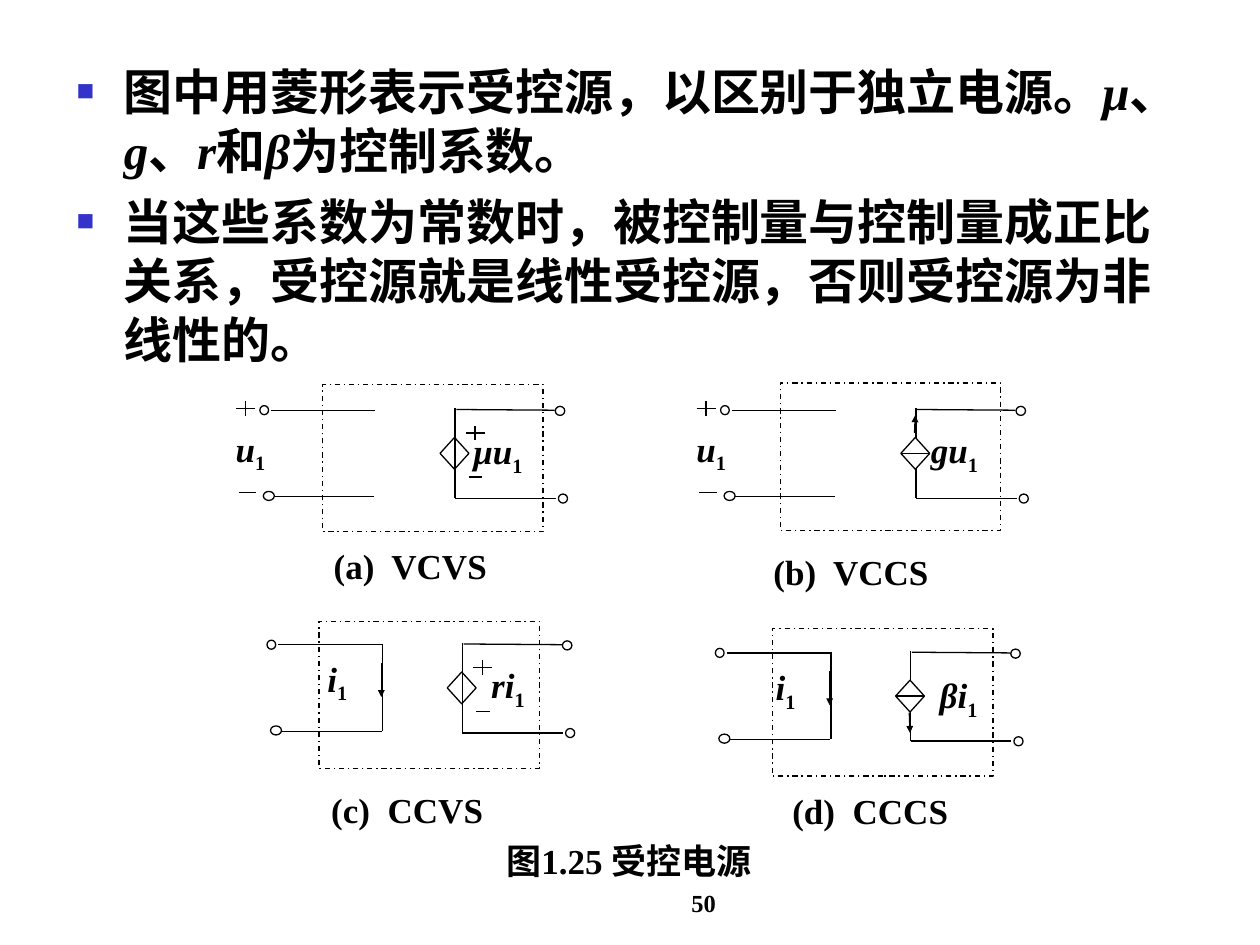
from lxml import etree
from pptx import Presentation
from pptx.dml.color import RGBColor
from pptx.enum import dml, lang, shapes, text as tx
from pptx.oxml import ns
from pptx.util import Pt

BLACK = RGBColor(0, 0, 0)
WHITE = RGBColor(255, 255, 255)
BLUE = RGBColor(0x33, 0x33, 0xCC)
FACE = "Times New Roman"
SHAPE = shapes.MSO_SHAPE


def sub(node, tag, **attrs):
    """Append a drawing element and return it."""
    kid = etree.SubElement(node, ns.qn(tag))
    for key, val in attrs.items():
        kid.set(key, val)
    return kid


def bullet(par):
    """Give a paragraph a hanging square bullet."""
    prop = par._p.get_or_add_pPr()
    prop.set("marL", str(Pt(27)))
    prop.set("indent", str(Pt(-27)))
    sub(sub(prop, "a:buClr"), "a:srgbClr", val=str(BLUE))
    sub(prop, "a:buSzPct", val="60000")
    sub(prop, "a:buFont", typeface=FACE)
    sub(prop, "a:buChar", char="■")


def write(slide, box, pars, size=20, align=tx.PP_ALIGN.LEFT,
          anchor=tx.MSO_ANCHOR.TOP, marks=False, gap=0):
    """Place paragraphs; each is a list of (words, style), style i, sub or ''."""
    frame = slide.shapes.add_textbox(*map(Pt, box)).text_frame
    frame.word_wrap = True
    frame.vertical_anchor = anchor
    for num, runs in enumerate(pars):
        par = frame.add_paragraph() if num else frame.paragraphs[0]
        par.alignment = align
        if num:
            par.space_before = Pt(gap)
        if marks:
            bullet(par)
        for words, style in runs:
            run = par.add_run()
            run.text = words
            font = run.font
            font.name, font.size, font.bold = FACE, Pt(size), True
            font.italic = style == "i"
            font.color.rgb = BLACK
            font.language_id = lang.MSO_LANGUAGE_ID.SIMPLIFIED_CHINESE
            if style == "sub":
                run._r.get_or_add_rPr().set("baseline", "-25000")


def symbol(slide, x, y, name, wide=80):
    """Write an italic quantity with the index 1."""
    write(slide, (x, y, wide, 33), [[(name, "i"), ("1", "sub")]])


def line(slide, x1, y1, x2, y2, arrow=False):
    wire = slide.shapes.add_connector(
        shapes.MSO_CONNECTOR.STRAIGHT, *map(Pt, (x1, y1, x2, y2)))
    wire.line.color.rgb = BLACK
    wire.line.width = Pt(0.75)
    sub(wire._element.spPr, "a:effectLst")
    if arrow:
        sub(wire.line._get_or_add_ln(), "a:tailEnd",
            type="triangle", w="sm", len="sm")


def shape(slide, kind, *box, dash=False):
    item = slide.shapes.add_shape(kind, *map(Pt, box))
    item.shadow.inherit = False
    item.line.color.rgb = BLACK
    item.line.width = Pt(0.75)
    if dash:
        item.fill.background()
        item.line.dash_style = dml.MSO_LINE.DASH_DOT
    else:
        item.fill.solid()
        item.fill.fore_color.rgb = WHITE


def plus(slide, x, y):
    line(slide, x, y, x + 11, y)
    line(slide, x + 5.3, y - 4, x + 5.3, y + 4.3)


def ports(slide, x, y):
    """Draw the four terminals with their wires."""
    line(slide, x + 6.5, y + 2.7, x + 66, y + 2.7)
    line(slide, x + 5.8, y + 52, x + 65.5, y + 52)
    line(slide, x + 112.3, y + 2.2, x + 168.5, y + 2.6)
    line(slide, x + 111.6, y + 1.4, x + 111.6, y + 53)
    line(slide, x + 111.6, y + 53, x + 169.2, y + 53)
    for dx, dy, wide in ((0, 0, 5), (2, 49, 6.3),
                         (168.8, 0.4, 5.4), (170.6, 50.5, 5.2)):
        shape(slide, SHAPE.OVAL, x + dx, y + dy, wide, 5.2)


def control(slide, x, y, kind):
    """Draw the controlling voltage or current."""
    if kind == "u":
        plus(slide, x - 13.7, y + 1.5)
        line(slide, x - 12.2, y + 49.7, x - 2.2, y + 49.7)
        symbol(slide, x - 20.9, y + 8.7, "u", 55)
    else:
        line(slide, x + 66, y + 2.3, x + 66, y + 52)
        line(slide, x + 65.3, y + 13, x + 65.3, y + 32.5, arrow=True)
        symbol(slide, x + 27.4, y + 6.2, "i", 50)


def source(slide, x, y, kind):
    """Draw the diamond: voltage polarity or current arrow up or down."""
    def rhomb():
        shape(slide, SHAPE.DIAMOND, x + 103, y + 18.2, 16.5, 18.2)

    if kind == "volt":
        rhomb()
        line(slide, x + 111.6, y + 18.2, x + 111.6, y + 36.4)
        plus(slide, x + 117.7, y + 15.6)
        line(slide, x + 119.4, y + 40.7, x + 127.2, y + 40.7)
        return
    rhomb()
    line(slide, x + 103, y + 27.3, x + 119.2, y + 27.3)
    tail, tip = (15.6, 5.5) if kind == "up" else (36.7, 48.3)
    line(slide, x + 110.8, y + tail, x + 111.2, y + tip, arrow=True)


def main():
    deck = Presentation()
    deck.slide_width, deck.slide_height = Pt(720), Pt(540)
    slide = deck.slides.add_slide(deck.slide_layouts[6])

    # Explanation
    first = [("图中用菱形表示受控源，以区别于独立电源。", ""),
             ("μ", "i"), ("、", ""), ("g", "i"), ("、", ""), ("r", "i"),
             ("和", ""), ("β", "i"), ("为控制系数。", "")]
    second = [("当这些系数为常数时，被控制量与控制量成正比关系，"
               "受控源就是线性受控源，否则受控源为非线性的。", "")]
    write(slide, (36.7, 31.7, 648, 187), [first, second],
          size=28, marks=True, gap=7)

    # Circuits: origin, control, source, gain and its place, frame, caption
    circuits = (
        (148.5, 231.8, "u", "volt", "μu", (263.5, 241.9),
         (184.4, 219.7), "(a)  VCVS", (183.6, 307.4)),
        (411.8, 231.8, "u", "up", "gu", (524.9, 241.2),
         (445.9, 218.9), "(b)  VCCS", (434.9, 311)),
        (152.6, 365.8, "i", "volt", "ri", (273.6, 375.8),
         (182.2, 355), "(c)  CCVS", (182.2, 447.1)),
        (408.8, 370.5, "i", "down", "βi", (529.9, 381.6),
         (441.4, 359.3), "(d)  CCCS", (445.7, 447.8)),
    )
    for x, y, ctrl, kind, gain, spot, frame, label, place in circuits:
        ports(slide, x, y)
        control(slide, x, y, ctrl)
        source(slide, x, y, kind)
        symbol(slide, *spot, gain, 66)
        shape(slide, SHAPE.RECTANGLE, *frame, 126, 84.2, dash=True)
        write(slide, (*place, 121.5, 34.5), [[(label, "")]])

    # Figure caption and page number
    write(slide, (282.2, 476, 179.3, 38), [[("图1.25 受控电源", "")]])
    write(slide, (288, 491.8, 228.2, 36), [[("50", "")]], size=14,
          align=tx.PP_ALIGN.CENTER, anchor=tx.MSO_ANCHOR.BOTTOM)
    deck.save("out.pptx")


if __name__ == "__main__":
    main()
